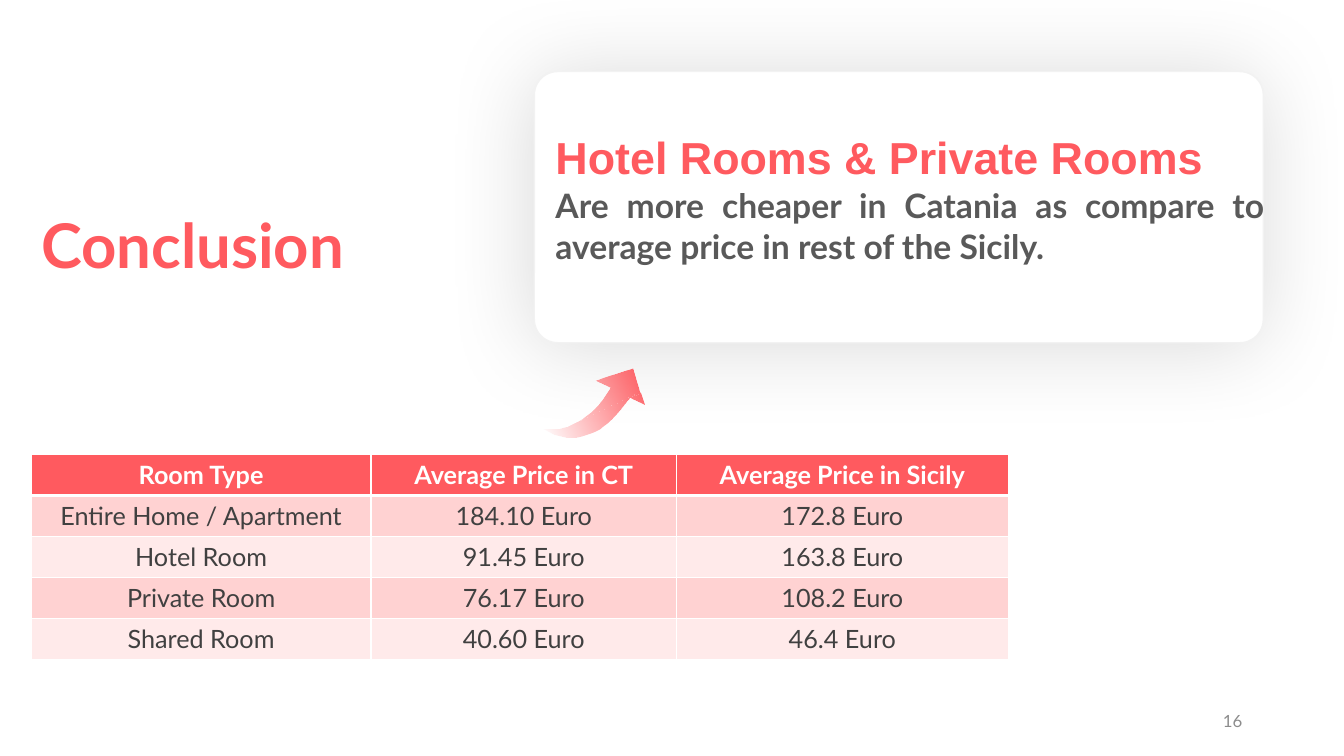
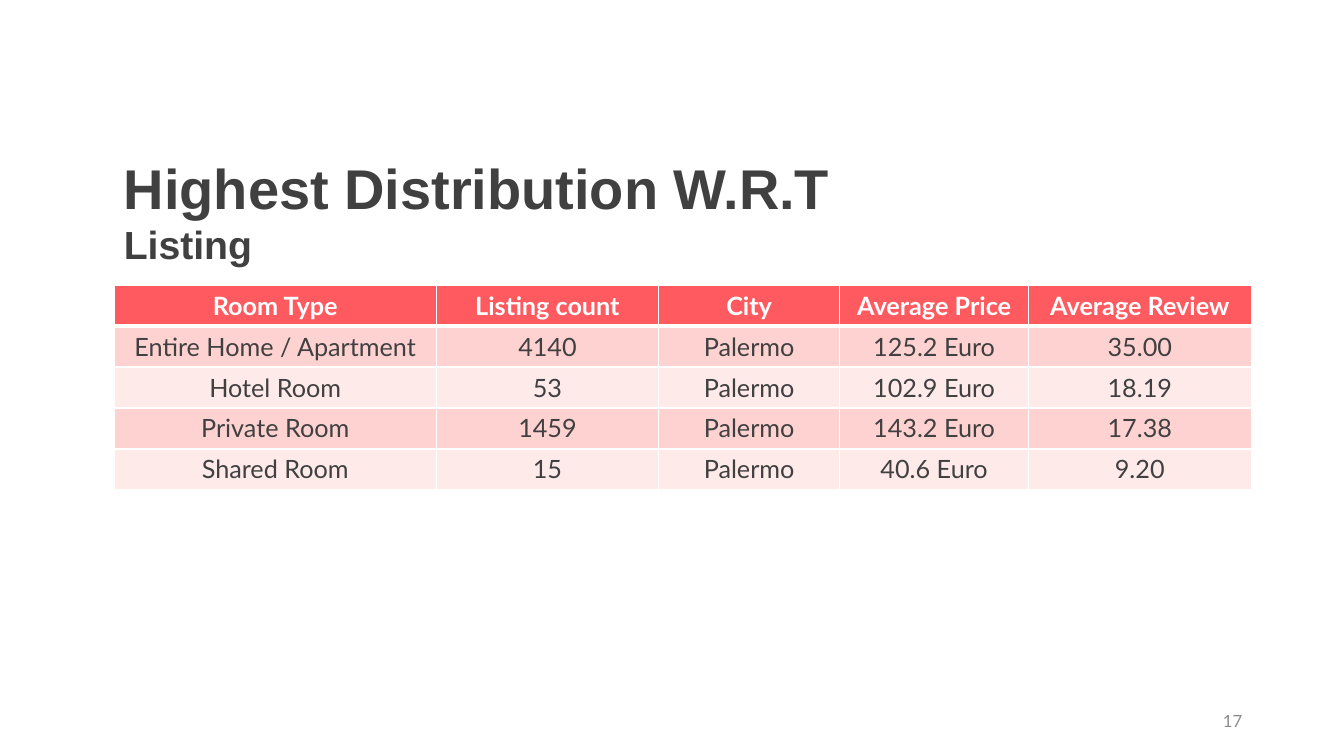
from lxml.etree import SubElement
from pptx import Presentation
from pptx.dml.color import RGBColor
from pptx.enum.shapes import MSO_SHAPE as Shape
from pptx.enum.text import MSO_ANCHOR as Anchor, PP_ALIGN as Align
from pptx.oxml import parse_xml
from pptx.oxml.ns import nsdecls, qn
from pptx.util import Inches, Pt

HUES = {"coral": "FF5A5F", "ink": "404040", "body": "595959", "mute": "8C8C8C",
        "white": "FFFFFF", "edge": "F2F2F2", "odd": "FFD2D2", "even": "FFEAEA",
        "black": "000000"}
SIZE = (13.33, 7.5)
ROW = 0.406

# A line of text: words, size, font, colour, bold
TITLE = [("Conclusion", 44, "Lato", "coral", True)]
CLAIM = [
    ("Hotel Rooms & Private Rooms", 32, "Arial", "coral", True),
    ("Are more cheaper in Catania as compare to average price in rest of the Sicily.",
     24, "Lato", "body", True),
]
HEADING = [
    ("Highest Distribution W.R.T", 40, "Arial", "ink", True),
    ("Listing", 28, "Arial", "ink", True),
]
PRICES = [
    ("Room Type", "Average Price in CT", "Average Price in Sicily"),
    ("Entire Home / Apartment", "184.10 Euro", "172.8 Euro"),
    ("Hotel Room", "91.45 Euro", "163.8 Euro"),
    ("Private Room", "76.17 Euro", "108.2 Euro"),
    ("Shared Room", "40.60 Euro", "46.4 Euro"),
]
COUNTS = [
    ("Room Type", "Listing count", "City", "Average Price", "Average Review"),
    ("Entire Home / Apartment", "4140", "Palermo", "125.2 Euro", "35.00"),
    ("Hotel Room", "53", "Palermo", "102.9 Euro", "18.19"),
    ("Private Room", "1459", "Palermo", "143.2 Euro", "17.38"),
    ("Shared Room", "15", "Palermo", "40.6 Euro", "9.20"),
]
# Arrow outlines, in hundredths of an inch
ARROW = [
    [(634, 389), (571, 419), (578, 415), (586, 409), (593, 402), (599, 394),
     (605, 385), (590, 378), (627, 366)],
    [(587, 429), (578, 432), (570, 434), (562, 434), (550, 431), (539, 425),
     (547, 425), (555, 425), (563, 423), (571, 419), (634, 389), (635, 390),
     (624, 395), (617, 404), (610, 412), (603, 419), (595, 425)],
    [(639, 402), (624, 395), (635, 390)],
]


def color(name):
    return RGBColor.from_string(HUES[name])


def paint(shape, name):
    shape.fill.solid()
    shape.fill.fore_color.rgb = color(name)


def write(par, words, size, font, hue, bold, align=Align.LEFT):
    par.alignment = align
    run = par.add_run()
    run.text = words
    run.font.size, run.font.name, run.font.bold = Pt(size), font, bold
    run.font.color.rgb = color(hue)


def add_text(slide, box, lines, align=Align.LEFT, inset=True, gap=0,
             anchor=Anchor.TOP):
    frame = slide.shapes.add_textbox(*map(Inches, box)).text_frame
    frame.word_wrap = True
    frame.vertical_anchor = anchor
    if not inset:
        frame.margin_left = frame.margin_right = frame.margin_bottom = 0
        frame.margin_top = Inches(0.01)
    for i, line in enumerate(lines):
        par = frame.add_paragraph() if i else frame.paragraphs[0]
        if i and gap:
            par.space_before = Pt(gap)
        write(par, *line, align=align)


def rule(cell, widths):
    """Draw white cell borders; widths are points for left, right, top, bottom."""
    props = cell._tc.get_or_add_tcPr()
    for i, (side, width) in enumerate(zip("LRTB", widths)):
        props.insert(i, parse_xml(
            f'<a:ln{side} {nsdecls("a")} w="{Pt(width)}"><a:solidFill>'
            f'<a:srgbClr val="{HUES["white"]}"/></a:solidFill></a:ln{side}>'))


def add_grid(slide, left, top, cols, rows):
    table = slide.shapes.add_table(
        len(rows), len(cols), Inches(left), Inches(top),
        Inches(sum(cols)), Inches(ROW * len(rows))).table
    for col, width in zip(table.columns, cols):
        col.width = Inches(width)
    for r, row in enumerate(rows):
        head = r == 0
        fill = "coral" if head else "odd" if r % 2 else "even"
        for c, words in enumerate(row):
            cell = table.cell(r, c)
            paint(cell, fill)
            rule(cell, (1, 1, 3 if r == 1 else 1, 3 if head else 1))
            write(cell.text_frame.paragraphs[0], words, 18, "Lato",
                  "white" if head else "ink", head, Align.CENTER)


def add_card(slide, box):
    card = slide.shapes.add_shape(Shape.ROUNDED_RECTANGLE, *map(Inches, box))
    card.adjustments[0] = 0.086
    paint(card, "white")
    card.line.color.rgb = color("edge")
    card.line.width = Pt(1)
    card.shadow.inherit = False
    effects = card._element.spPr.find(qn("a:effectLst"))
    glow = SubElement(effects, qn("a:outerShdw"), blurRad=str(Pt(65)),
                      dist=str(Pt(3)), dir=str(135 * 60000), algn="ctr")
    tint = SubElement(glow, qn("a:srgbClr"), val=HUES["black"])
    SubElement(tint, qn("a:alpha"), val="14000")


def add_arrow(slide):
    first, *rest = ARROW
    pen = slide.shapes.build_freeform(*first[0], scale=Inches(0.01))
    pen.add_line_segments(first[1:])
    for outline in rest:
        pen.move_to(*outline[0])
        pen.add_line_segments(outline[1:])
    arrow = pen.convert_to_shape()
    arrow.shadow.inherit = False
    arrow.line.fill.background()
    arrow.fill.gradient()
    arrow.fill.gradient_angle = 25
    for stop in arrow.fill.gradient_stops:
        stop.color.rgb = color("coral")
    clear = arrow._element.spPr.find(".//" + qn("a:srgbClr"))
    SubElement(clear, qn("a:alpha"), val="0")


def add_page(deck, number):
    slide = deck.slides.add_slide(deck.slide_layouts[6])
    add_text(slide, (9.42, 6.95, 3, 0.4),
             [(str(number), 12, "Lato", "mute", False)],
             Align.RIGHT, anchor=Anchor.MIDDLE)
    return slide


def main():
    deck = Presentation()
    deck.slide_width, deck.slide_height = map(Inches, SIZE)

    slide = add_page(deck, 16)
    add_text(slide, (0.31, 2, 4.4, 0.84), TITLE)
    add_card(slide, (5.3, 0.71, 7.23, 2.69))
    add_text(slide, (5.51, 1.28, 7.03, 1.79), CLAIM, Align.JUSTIFY,
             inset=False, gap=1)
    add_arrow(slide)
    add_grid(slide, 0.31, 4.51, (3.37, 3.03, 3.29), PRICES)

    slide = add_page(deck, 17)
    add_grid(slide, 1.13, 2.83, (3.2, 2.2, 1.8, 1.87, 2.21), COUNTS)
    add_text(slide, (1.13, 1.47, 7.27, 1.25), HEADING)

    deck.save("out.pptx")


if __name__ == "__main__":
    main()
